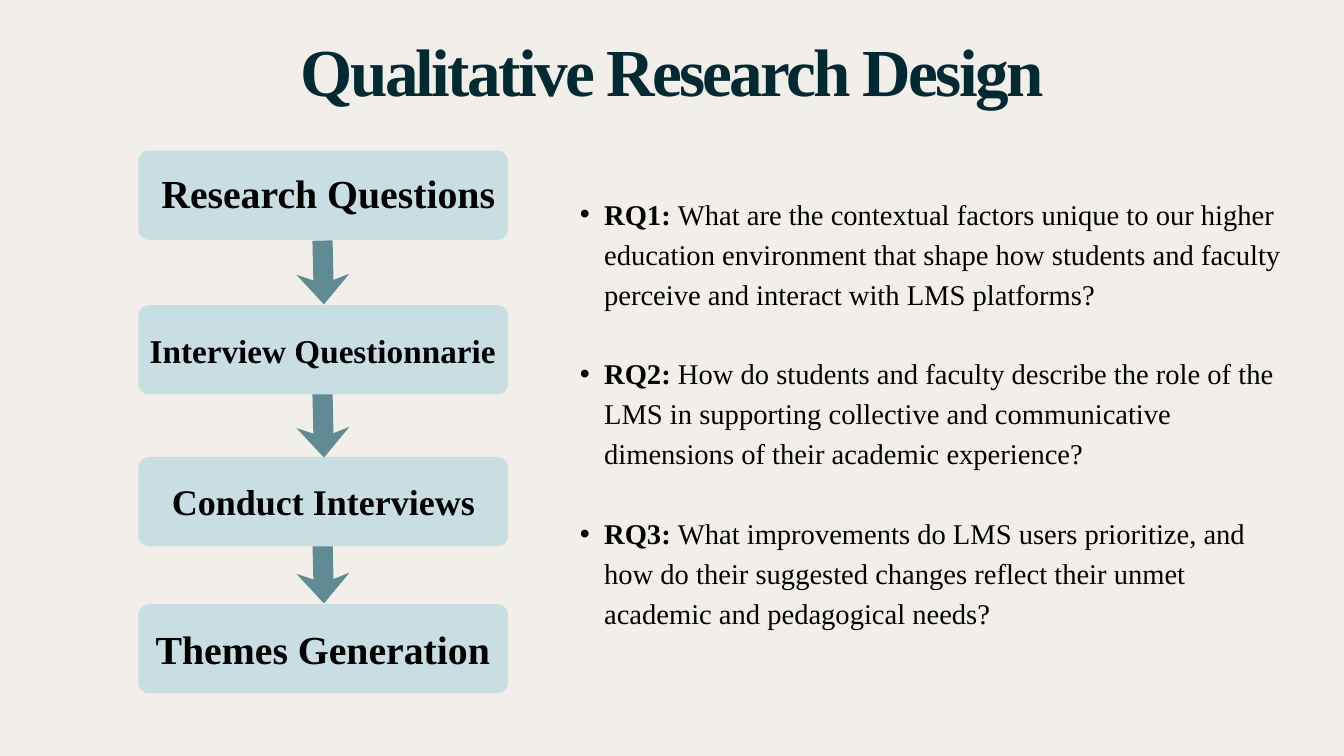
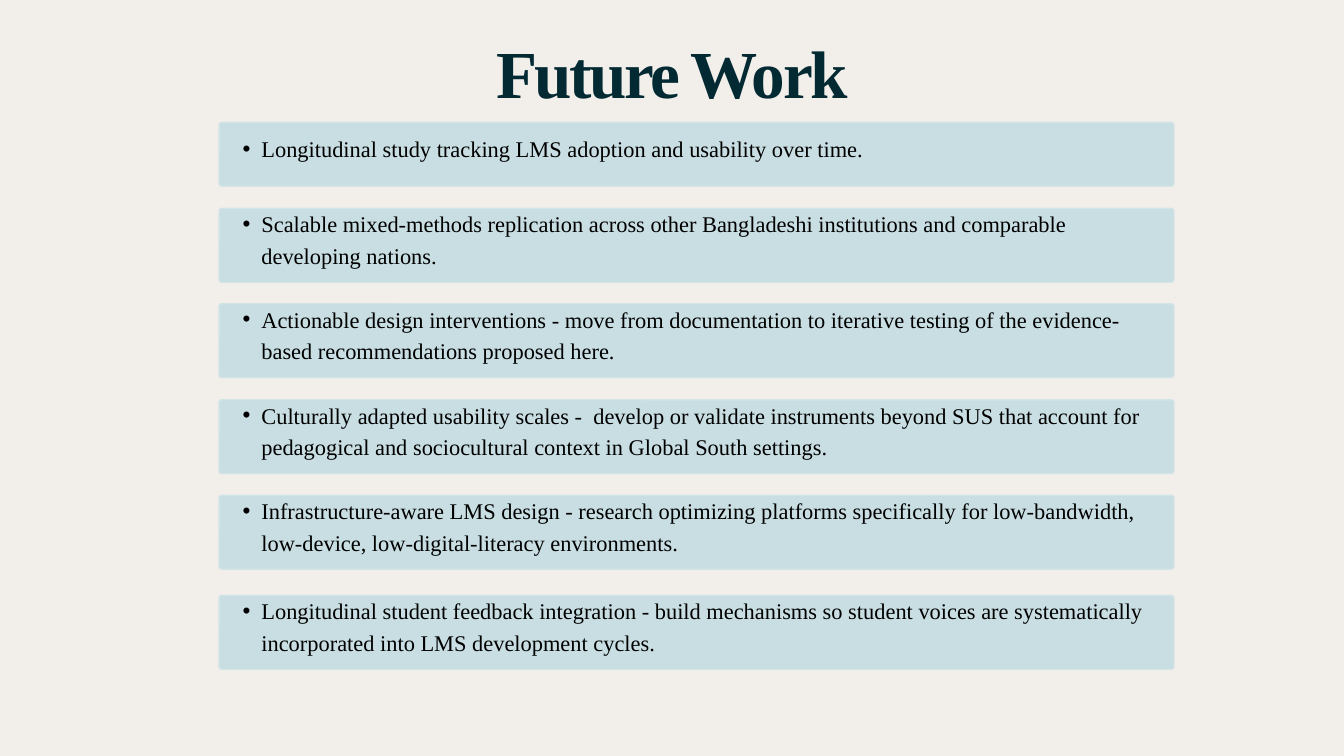
from dataclasses import dataclass
from typing import NamedTuple

from lxml.etree import SubElement
from pptx import Presentation
from pptx.dml.color import RGBColor
from pptx.enum.shapes import MSO_SHAPE
from pptx.enum.text import MSO_ANCHOR, MSO_AUTO_SIZE, PP_ALIGN
from pptx.oxml.ns import qn
from pptx.util import Inches, Pt

FONT = "Times New Roman"
COLORS = {
    "background": "F2EFEB",
    "panel": "C8DEE2",
    "panel_edge": "D3E4E7",
    "arrow": "618B93",
    "title_start": "032A33",
    "title_end": "106470",
    "text": "000000",
}
LEADING = 1.4


class Rect(NamedTuple):
    left: float
    top: float
    width: float
    height: float

    def inches(self):
        return [Inches(v) for v in self]


@dataclass
class Step:
    top: float
    label: str
    size: float
    label_left: float
    label_top: float
    label_width: float = 7.53


@dataclass
class Question:
    tag: str
    text: str


@dataclass
class FutureItem:
    top: float
    text: str
    height: float = 1.1


STEP_LEFT, STEP_WIDTH, STEP_HEIGHT = 2.06, 5.5, 1.33
STEPS = [
    Step(2.24, "Research Questions", 42.6, 1.12, 2.4),
    Step(4.54, "Interview Questionnarie", 35.6, 1.04, 4.81),
    Step(6.8, "Conduct Interviews", 38.6, 1.35, 7.03, 6.93),
    Step(8.99, "Themes Generation", 42.6, 1.04, 9.18),
]
ARROW_LEFT, ARROW_TOPS, ARROW_ROTATION = 4.33, (3.66, 5.94, 8.11), 268.7
ARROW_OUTLINE = [(0, 0.4), (0.45, 0), (0.36, 0.25), (0.95, 0.25),
                 (0.95, 0.55), (0.36, 0.55), (0.45, 0.79)]

QUESTIONS = [
    Question("RQ1: ", "What are the contextual factors unique to our higher education "
             "environment that shape how students and faculty perceive and interact "
             "with LMS platforms?"),
    Question("RQ2: ", "How do students and faculty describe the role of the LMS in "
             "supporting collective and communicative dimensions of their academic "
             "experience?"),
    Question("RQ3: ", "What improvements do LMS users prioritize, and how do their "
             "suggested changes reflect their unmet academic and pedagogical needs?"),
]

ITEM_LEFT, ITEM_WIDTH, ITEM_TEXT_RISE = 3.26, 14.21, 0.24
FUTURE_ITEMS = [
    FutureItem(1.82, "Longitudinal study tracking LMS adoption and usability over time.", 0.95),
    FutureItem(3.1, "Scalable mixed-methods replication across other Bangladeshi "
               "institutions and comparable developing nations."),
    FutureItem(4.52, "Actionable design interventions - move from documentation to "
               "iterative testing of the evidence-based recommendations proposed here."),
    FutureItem(5.95, "Culturally adapted usability scales -  develop or validate "
               "instruments beyond SUS that account for pedagogical and sociocultural "
               "context in Global South settings."),
    FutureItem(7.37, "Infrastructure-aware LMS design - research optimizing platforms "
               "specifically for low-bandwidth, low-device, low-digital-literacy "
               "environments."),
    FutureItem(8.86, "Longitudinal student feedback integration - build mechanisms so "
               "student voices are systematically incorporated into LMS development "
               "cycles."),
]


def rgb(name: str) -> RGBColor:
    return RGBColor.from_string(COLORS[name])


def add_slide(prs):
    s = prs.slides.add_slide(prs.slide_layouts[6])
    s.background.fill.solid()
    s.background.fill.fore_color.rgb = rgb("background")
    return s


def add_text_frame(s, rect: Rect, inset: float = 0):
    tf = s.shapes.add_textbox(*rect.inches()).text_frame
    tf.word_wrap = True
    tf.margin_left = tf.margin_right = tf.margin_top = tf.margin_bottom = Inches(inset)
    return tf


def add_run(p, text: str, size: float, bold: bool = False):
    r = p.add_run()
    r.text = text
    r.font.name = FONT
    r.font.size = Pt(size)
    r.font.bold = bold
    r.font.color.rgb = rgb("text")
    return r


def set_bullet(p, indent: float, hanging: float) -> None:
    p.level = 1
    pPr = p._p.get_or_add_pPr()
    pPr.set("marL", str(Inches(indent)))
    pPr.set("indent", str(-Inches(hanging)))
    SubElement(pPr, qn("a:buFont")).set("typeface", "Arial")
    SubElement(pPr, qn("a:buChar")).set("char", "•")


def add_title(s, text: str, rect: Rect, line_spacing: float, tracking: float) -> None:
    """Draw a centred gradient title; tracking is in points."""
    tf = add_text_frame(s, rect)
    tf.auto_size = MSO_AUTO_SIZE.SHAPE_TO_FIT_TEXT
    p = tf.paragraphs[0]
    p.alignment = PP_ALIGN.CENTER
    p.line_spacing = Pt(line_spacing)
    r = add_run(p, text, 72, bold=True)
    r._r.get_or_add_rPr().set("spc", str(round(tracking * 100)))
    fill = r.font.fill
    fill.gradient()
    fill.gradient_angle = 270
    for stop, name in zip(fill.gradient_stops, ("title_start", "title_end")):
        stop.color.rgb = rgb(name)


def add_panel(s, rect: Rect, radius: float, edge: bool = False) -> None:
    sp = s.shapes.add_shape(MSO_SHAPE.ROUNDED_RECTANGLE, *rect.inches())
    sp.adjustments[0] = radius / rect.height
    sp.shadow.inherit = False
    sp.fill.solid()
    sp.fill.fore_color.rgb = rgb("panel")
    if edge:
        sp.line.color.rgb = rgb("panel_edge")
        sp.line.width = Pt(1.5)
    else:
        sp.line.fill.background()


def add_arrow(s, top: float) -> None:
    """Draw a left-pointing notched arrow, turned to point down."""
    start, *rest = [(Inches(x), Inches(y)) for x, y in ARROW_OUTLINE]
    builder = s.shapes.build_freeform(*start)
    builder.add_line_segments(rest, close=True)
    sp = builder.convert_to_shape()
    sp.left, sp.top = Inches(ARROW_LEFT), Inches(top)
    sp.rotation = ARROW_ROTATION
    sp.shadow.inherit = False
    sp.fill.solid()
    sp.fill.fore_color.rgb = rgb("arrow")
    sp.line.fill.background()


def add_step(s, step: Step) -> None:
    add_panel(s, Rect(STEP_LEFT, step.top, STEP_WIDTH, STEP_HEIGHT), 0.16)
    leading = step.size * LEADING
    tf = add_text_frame(s, Rect(step.label_left, step.label_top,
                                step.label_width, leading / 72))
    tf.auto_size = MSO_AUTO_SIZE.SHAPE_TO_FIT_TEXT
    p = tf.paragraphs[0]
    p.alignment = PP_ALIGN.CENTER
    p.line_spacing = Pt(leading)
    add_run(p, step.label, step.size, bold=True)


def add_questions(s, size: float = 30.6) -> None:
    tf = add_text_frame(s, Rect(8.27, 2.84, 11.02, 6.53))
    tf.auto_size = MSO_AUTO_SIZE.SHAPE_TO_FIT_TEXT
    for i, question in enumerate(QUESTIONS):
        p = tf.add_paragraph() if i else tf.paragraphs[0]
        p.line_spacing = Pt(size * LEADING)
        if i:
            p.space_before = Pt(size * LEADING)
        set_bullet(p, 0.72, 0.36)
        add_run(p, question.tag, size, bold=True)
        add_run(p, question.text, size)


def add_future_item(s, item: FutureItem, size: float = 24) -> None:
    add_panel(s, Rect(ITEM_LEFT, item.top, ITEM_WIDTH, item.height), 0.04, edge=True)
    tf = add_text_frame(s, Rect(ITEM_LEFT, item.top - ITEM_TEXT_RISE, ITEM_WIDTH,
                                item.height + ITEM_TEXT_RISE), inset=0.06)
    tf.vertical_anchor = MSO_ANCHOR.MIDDLE
    p = tf.paragraphs[0]
    p.line_spacing = Pt(size * LEADING)
    set_bullet(p, 0.57, 0.28)
    add_run(p, item.text, size)


def build_design_slide(prs) -> None:
    s = add_slide(prs)
    add_title(s, "Qualitative Research Design", Rect(2.56, 0.63, 14.88, 1.1), 72, -2.9)
    for top in ARROW_TOPS:
        add_arrow(s, top)
    for step in STEPS:
        add_step(s, step)
    add_questions(s)


def build_future_slide(prs) -> None:
    s = add_slide(prs)
    add_title(s, "Future Work", Rect(1.71, 0.56, 16.58, 1.16), 79.2, -2.7)
    for item in FUTURE_ITEMS:
        add_future_item(s, item)


def main() -> None:
    prs = Presentation()
    prs.slide_width, prs.slide_height = Inches(20), Inches(11.25)
    build_design_slide(prs)
    build_future_slide(prs)
    prs.save("out.pptx")


if __name__ == "__main__":
    main()
